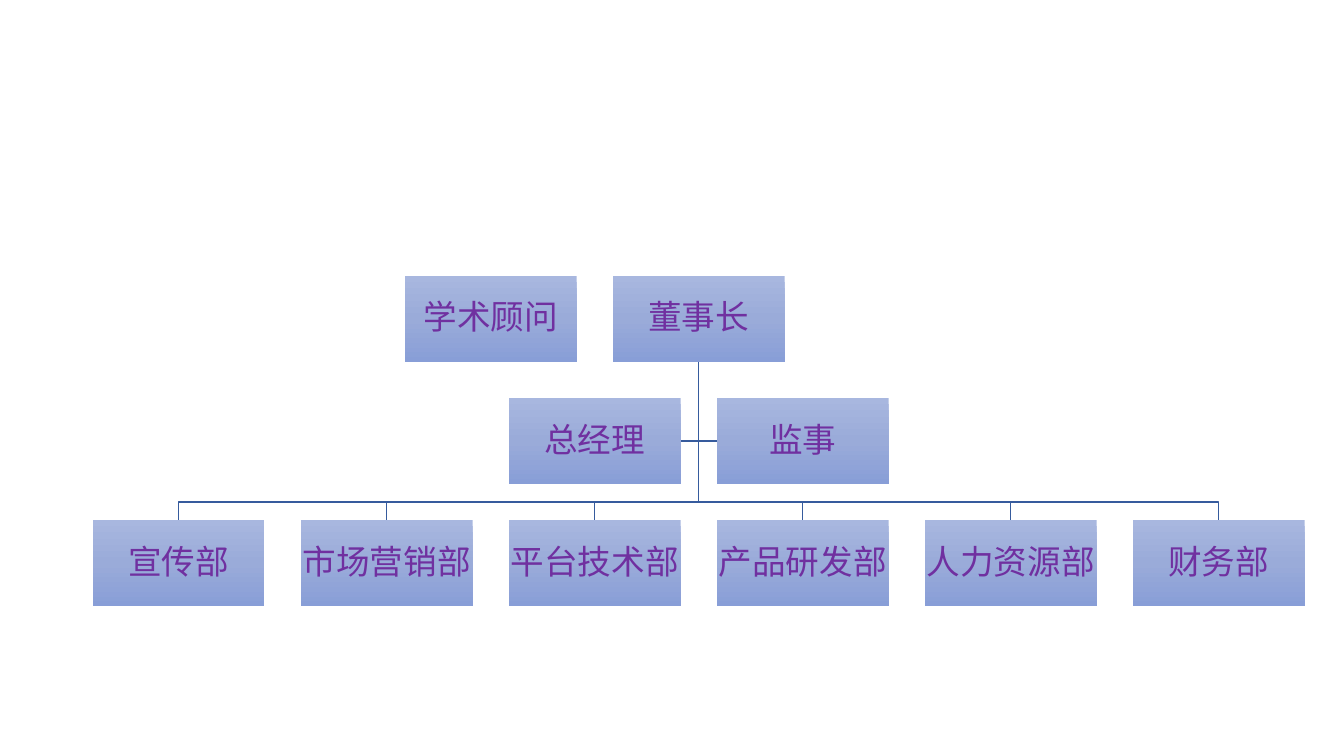
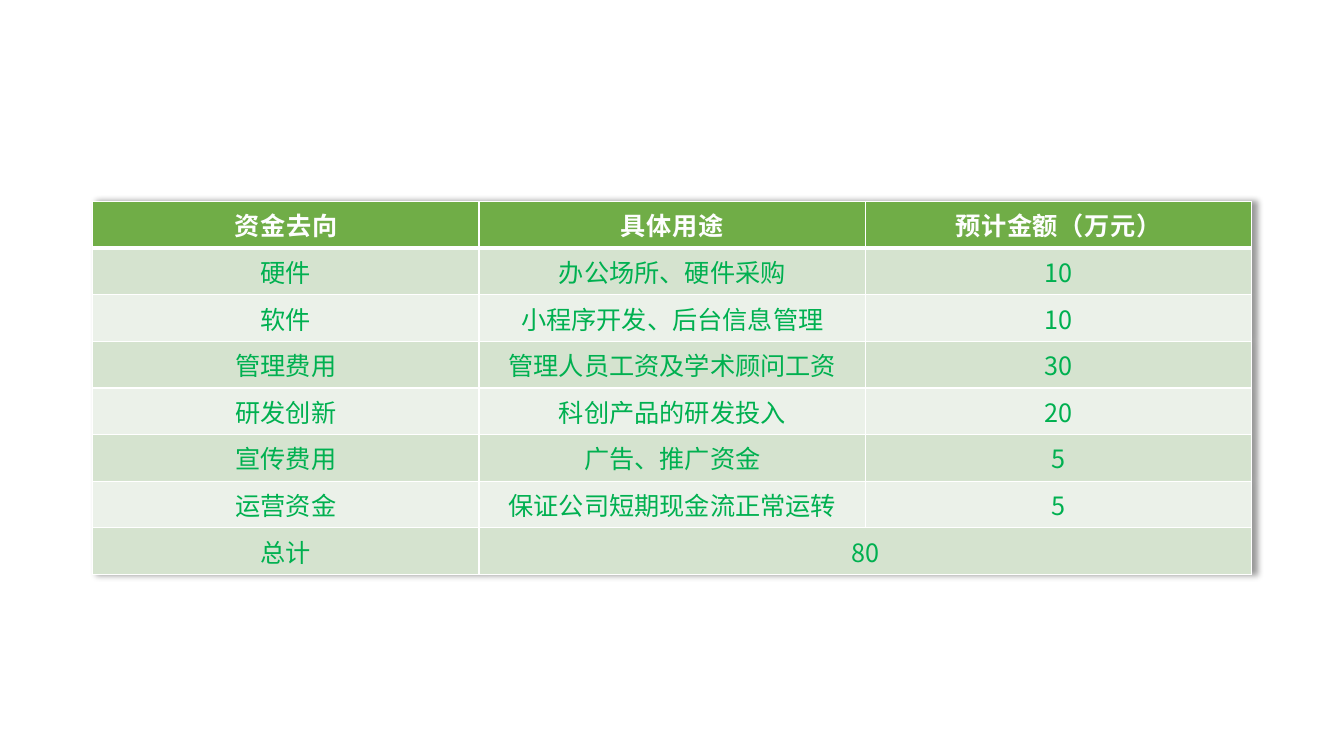
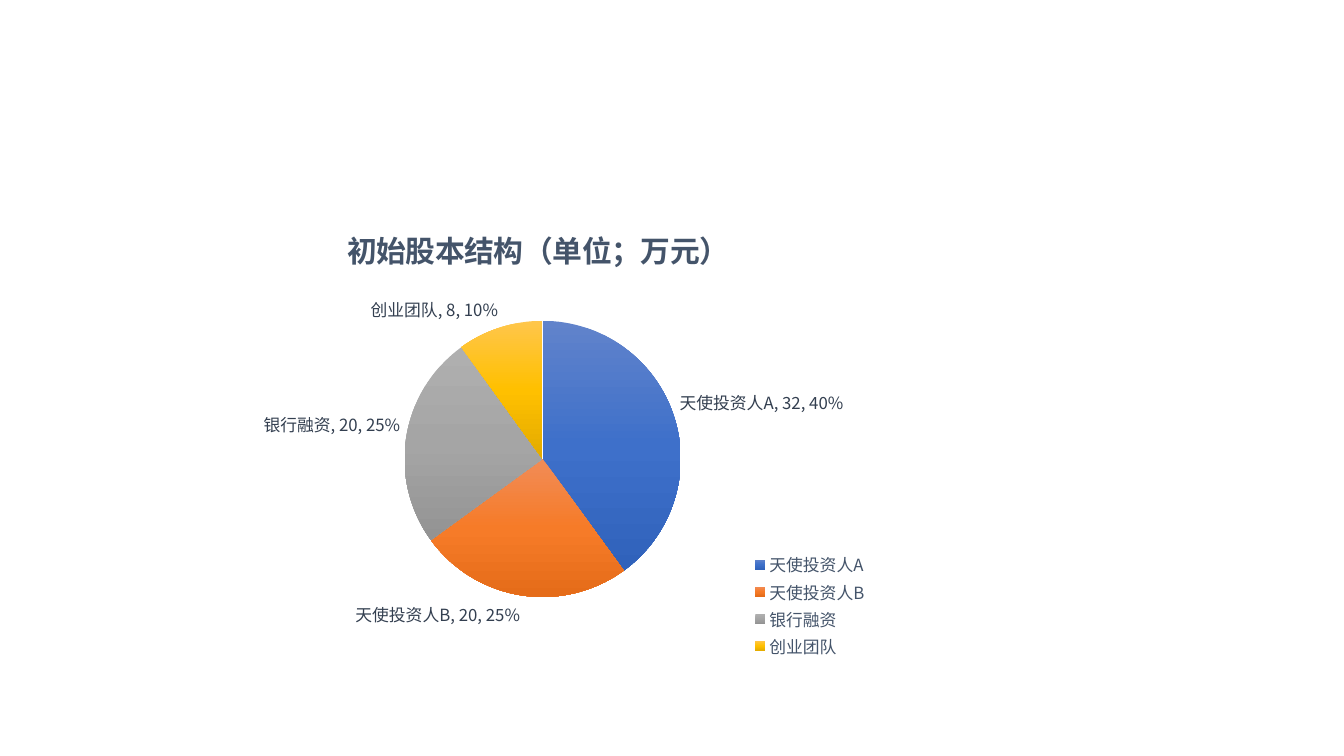
import copy
from lxml import etree
from pptx import Presentation
from pptx import util as u
from pptx.chart import data as chart_data
from pptx.dml import color
from pptx.enum import chart as chart_enum
from pptx.enum import shapes, text
from pptx.oxml import ns

FONT = "Noto Sans CJK SC"
COLORS = {
    "connector": "365B9D", "box_text": "7030A0",
    "header": "70AD47", "header_text": "FEFEFE", "header_outline": "4472C4",
    "band_dark": "D5E3CF", "band_light": "EBF1E9", "cell_text": "00B050",
    "border": "FFFFFF", "shadow": "000000",
    "chart_text": "44546A", "label_text": "333F50",
}
GRADIENTS = {
    "box": ("A8B7DF", "9AABD9", "889ED7"),
    "slices": (
        ("6183CB", "3E70CA", "3062BB"),
        ("F18C57", "F67B28", "E56C19"),
        ("AFAFAF", "A5A5A5", "939393"),
        ("FFC64B", "FFC000", "E3AB00"),
    ),
}
LEFT = 66.2
BOX_WIDTH, BOX_HEIGHT, GAP = 122.8, 61.4, 25.8
CHART_TOP_ROW = 197.2

DEPARTMENTS = ["宣传部", "市场营销部", "平台技术部", "产品研发部", "人力资源部", "财务部"]
BUDGET = [
    ("资金去向", "具体用途", "预计金额（万元）"),
    ("硬件", "办公场所、硬件采购", "10"),
    ("软件", "小程序开发、后台信息管理", "10"),
    ("管理费用", "管理人员工资及学术顾问工资", "30"),
    ("研发创新", "科创产品的研发投入", "20"),
    ("宣传费用", "广告、推广资金", "5"),
    ("运营资金", "保证公司短期现金流正常运转", "5"),
    ("总计", "80", ""),
]
SHARES = {"天使投资人A": 32, "天使投资人B": 20, "银行融资": 20, "创业团队": 8}
SHARES_TITLE = "初始股本结构（单位；万元）"


def rgb(name):
    return color.RGBColor.from_string(COLORS.get(name, name))


def element(tag, *children, **attributes):
    node = etree.Element(ns.qn(tag), {key: str(value) for key, value in attributes.items()})
    node.extend(children)
    return node


def solid(name, *children):
    return element("a:solidFill", element("a:srgbClr", *children, val=COLORS[name]))


def style_font(font, size, name, bold=False):
    font.name = FONT
    font.size = u.Pt(size)
    font.bold = bold
    font.color.rgb = rgb(name)


def add_run(paragraph, words, size, name, bold=False):
    run = paragraph.add_run()
    run.text = words
    style_font(run.font, size, name, bold)
    return run


def set_east_asian_font(root):
    for latin in list(root.iter(ns.qn("a:latin"))):
        latin.addnext(element("a:ea", typeface=FONT))


def set_gradient(fill, root, stops):
    fill.gradient()
    fill.gradient_angle = 270
    stop_list = list(root.iter(ns.qn("a:gsLst")))[-1]
    stop_list.append(copy.deepcopy(stop_list[0]))
    for index, (stop, value) in enumerate(zip(fill.gradient_stops, stops)):
        stop.position = index / 2
        stop.color.rgb = rgb(value)


def box_corner(column, row):
    return LEFT + column * (BOX_WIDTH + GAP), CHART_TOP_ROW + row * (BOX_HEIGHT + GAP)


def add_box(slide, words, column, row):
    left, top = box_corner(column, row)
    shape = slide.shapes.add_shape(
        shapes.MSO_SHAPE.RECTANGLE, u.Pt(left), u.Pt(top), u.Pt(BOX_WIDTH), u.Pt(BOX_HEIGHT))
    shape.shadow.inherit = False
    shape.line.fill.background()
    set_gradient(shape.fill, shape.element, GRADIENTS["box"])
    frame = shape.text_frame
    frame.word_wrap = False
    frame.vertical_anchor = text.MSO_ANCHOR.MIDDLE
    frame.margin_left = frame.margin_right = frame.margin_top = frame.margin_bottom = u.Pt(1.2)
    paragraph = frame.paragraphs[0]
    paragraph.alignment = text.PP_ALIGN.CENTER
    paragraph.line_spacing = 0.9
    add_run(paragraph, words, 24, "box_text")


def add_branch(slide, points):
    start, *others = [(u.Pt(x), u.Pt(y)) for x, y in points]
    builder = slide.shapes.build_freeform(*start, scale=1.0)
    builder.add_line_segments(others, close=False)
    shape = builder.convert_to_shape()
    shape.shadow.inherit = False
    shape.fill.background()
    shape.line.color.rgb = rgb("connector")
    shape.line.width = u.Pt(1)


def build_organization(slide):
    left, top = box_corner(2.5, 0)
    trunk, trunk_top = left + BOX_WIDTH / 2, top + BOX_HEIGHT
    side_y = box_corner(0, 1)[1] + BOX_HEIGHT / 2
    for side in (1, -1):
        add_branch(slide, [(trunk, trunk_top), (trunk, side_y), (trunk + side * GAP / 2, side_y)])
    for column in reversed(range(len(DEPARTMENTS))):
        box_left, box_top = box_corner(column, 2)
        center, bus = box_left + BOX_WIDTH / 2, box_top - GAP / 2
        add_branch(slide, [(trunk, trunk_top), (trunk, bus), (center, bus), (center, box_top)])
    add_box(slide, "学术顾问", 1.5, 0)
    add_box(slide, "董事长", 2.5, 0)
    for column, department in enumerate(DEPARTMENTS):
        add_box(slide, department, column, 2)
    add_box(slide, "总经理", 2, 1)
    add_box(slide, "监事", 3, 1)


def set_borders(cell, row):
    widths = {"L": 1, "R": 1, "T": 3 if row == 1 else 1, "B": 3 if row == 0 else 1}
    properties = cell._tc.get_or_add_tcPr()
    for index, (side, width) in enumerate(widths.items()):
        properties.insert(index, element("a:ln" + side, solid("border"), w=u.Pt(width)))


def fill_cell(cell, words, row):
    header = row == 0
    cell.fill.solid()
    cell.fill.fore_color.rgb = rgb("header" if header else "band_dark" if row % 2 else "band_light")
    cell.vertical_anchor = text.MSO_ANCHOR.MIDDLE
    set_borders(cell, row)
    if not words:
        return
    paragraph = cell.text_frame.paragraphs[0]
    paragraph.alignment = text.PP_ALIGN.CENTER
    run = add_run(paragraph, words, 18, "header_text" if header else "cell_text", header)
    if header:
        properties = run._r.get_or_add_rPr()
        properties.set("spc", "50")
        properties.insert(0, element("a:ln", solid("header_outline"), w=u.Pt(0.75)))


def build_budget(slide):
    frame = slide.shapes.add_table(
        len(BUDGET), 3, u.Pt(LEFT), u.Pt(144), u.Pt(828), u.Pt(29.3 * len(BUDGET)))
    table = frame.table
    shadow = element(
        "a:outerShdw", solid("shadow", element("a:alpha", val=40000))[0],
        blurRad=u.Pt(4), dist=u.Pt(3), dir=0, algn="l", rotWithShape=0)
    table._tbl.tblPr.insert(0, element("a:effectLst", shadow))
    for row, values in enumerate(BUDGET):
        for column, words in enumerate(values):
            fill_cell(table.cell(row, column), words, row)
    last = len(BUDGET) - 1
    table.cell(last, 1).merge(table.cell(last, 2))


def set_layout(parent, index, box, inner=False):
    for old in parent.findall(ns.qn("c:layout")):
        parent.remove(old)
    manual = element("c:manualLayout")
    if inner:
        manual.append(element("c:layoutTarget", val="inner"))
    manual.extend(element("c:" + axis + "Mode", val="edge") for axis in "xy")
    manual.extend(element("c:" + axis, val=value) for axis, value in zip("xywh", box))
    parent.insert(index, element("c:layout", manual))


def build_shares(slide):
    data = chart_data.CategoryChartData()
    data.categories = list(SHARES)
    data.add_series(SHARES_TITLE, list(SHARES.values()))
    chart = slide.shapes.add_chart(
        chart_enum.XL_CHART_TYPE.PIE, u.Pt(LEFT), u.Pt(146.2), u.Pt(636.5), u.Pt(342.7), data).chart
    chart.font.name = FONT
    chart.font.size = u.Pt(10)
    chart.has_title = True
    add_run(chart.chart_title.text_frame.paragraphs[0], SHARES_TITLE, 21.3, "chart_text", True)

    chart.has_legend = True
    legend = chart.legend
    legend.position = chart_enum.XL_LEGEND_POSITION.BOTTOM
    legend.include_in_layout = False
    style_font(legend.font, 12, "chart_text")
    set_layout(legend._element, 1, (0.73, 0.72, 0.15, 0.23))

    plot = chart.plots[0]
    plot.vary_by_categories = True
    for index, stops in enumerate(GRADIENTS["slices"]):
        point_format = plot.series[0].points[index].format
        set_gradient(point_format.fill, chart.element, stops)
        point_format.line.fill.background()

    plot.has_data_labels = True
    labels = plot.data_labels
    labels.show_category_name = labels.show_value = labels.show_percentage = True
    labels.position = chart_enum.XL_LABEL_POSITION.OUTSIDE_END
    style_font(labels.font, 12, "label_text")
    separator = element("c:separator")
    separator.text = ", "
    labels._element.find(ns.qn("c:showBubbleSize")).addnext(separator)
    plot_area = chart.element.find(".//" + ns.qn("c:plotArea"))
    set_layout(plot_area, 0, (0.35, 0.24, 0.31, 0.58), inner=True)
    set_east_asian_font(chart.element)


def main():
    presentation = Presentation()
    presentation.slide_width, presentation.slide_height = u.Pt(960), u.Pt(540)
    for build in (build_organization, build_budget, build_shares):
        slide = presentation.slides.add_slide(presentation.slide_layouts[6])
        build(slide)
        set_east_asian_font(slide.element)
    presentation.save("out.pptx")


if __name__ == "__main__":
    main()
